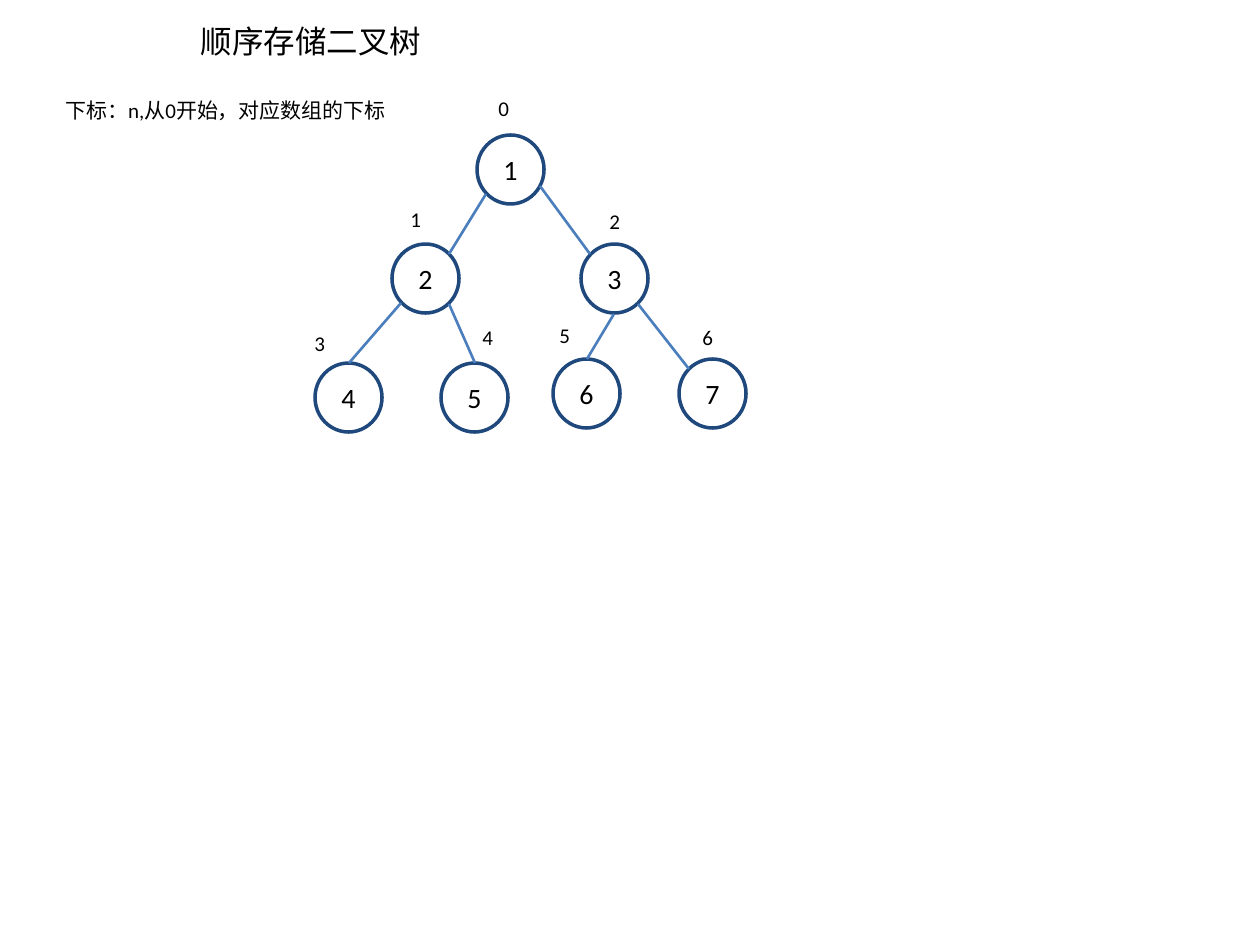
from lxml.etree import SubElement
from pptx import Presentation
from pptx.dml.color import RGBColor
from pptx.enum.shapes import MSO_CONNECTOR, MSO_SHAPE
from pptx.enum.text import MSO_ANCHOR, MSO_AUTO_SIZE, PP_ALIGN
from pptx.oxml.ns import qn
from pptx.util import Emu, Pt


def px(*lengths):
    return [Emu(round(length * 914400 / 126)) for length in lengths]


def write_text(shape, text, size, alignment, anchor):
    frame = shape.text_frame
    frame.text = text
    frame.word_wrap = True
    frame.auto_size = MSO_AUTO_SIZE.NONE
    frame.vertical_anchor = anchor
    paragraph = frame.paragraphs[0]
    paragraph.alignment = alignment
    paragraph.font.size = Pt(size)
    paragraph.font.name = "Calibri"
    paragraph.font.color.rgb = RGBColor.from_string("000000")


presentation = Presentation()
presentation.slide_width, presentation.slide_height = px(1260, 945)
slide = presentation.slides.add_slide(presentation.slide_layouts[5])

title = slide.shapes.title
title.left, title.top, title.width, title.height = px(188, 16, 268, 51)
write_text(title, "顺序存储二叉树", 18, PP_ALIGN.LEFT, MSO_ANCHOR.TOP)

node_positions = [(477, 135), (392, 244), (581, 244), (315, 363), (441, 363), (553, 359), (679, 359)]
for number, (left, top) in enumerate(node_positions, start=1):
    node = slide.shapes.add_shape(MSO_SHAPE.OVAL, *px(left, top, 67, 69))
    node.shadow.inherit = False
    node.fill.solid()
    node.fill.fore_color.rgb = RGBColor.from_string("FFFFFF")
    node.line.color.rgb = RGBColor.from_string("1F497D")
    node.line.width = Pt(2)
    write_text(node, str(number), 16, PP_ALIGN.CENTER, MSO_ANCHOR.MIDDLE)

edges = [
    (449, 254, 486, 194),
    (590, 254, 540, 186),
    (349, 363, 401, 303),
    (475, 363, 449, 304),
    (587, 359, 614, 314),
    (689, 369, 638, 304),
]
for edge in edges:
    connector = slide.shapes.add_connector(MSO_CONNECTOR.STRAIGHT, *px(*edge))
    connector.line.color.rgb = RGBColor.from_string("4B7EBC")
    connector.line.width = Pt(1.5)
    SubElement(connector.element.spPr, qn("a:effectLst"))

index_positions = [(486, 89), (398, 200), (597, 202), (302, 324), (470, 318), (547, 316), (690, 318)]
labels = [(" 下标：n,从0开始，对应数组的下标", 48, 91, 387)]
labels += [(str(index), left, top, 45) for index, (left, top) in enumerate(index_positions)]
for text, left, top, width in labels:
    label = slide.shapes.add_textbox(*px(left, top, width, 38))
    write_text(label, text, 12, PP_ALIGN.LEFT, MSO_ANCHOR.TOP)

presentation.save("out.pptx")
